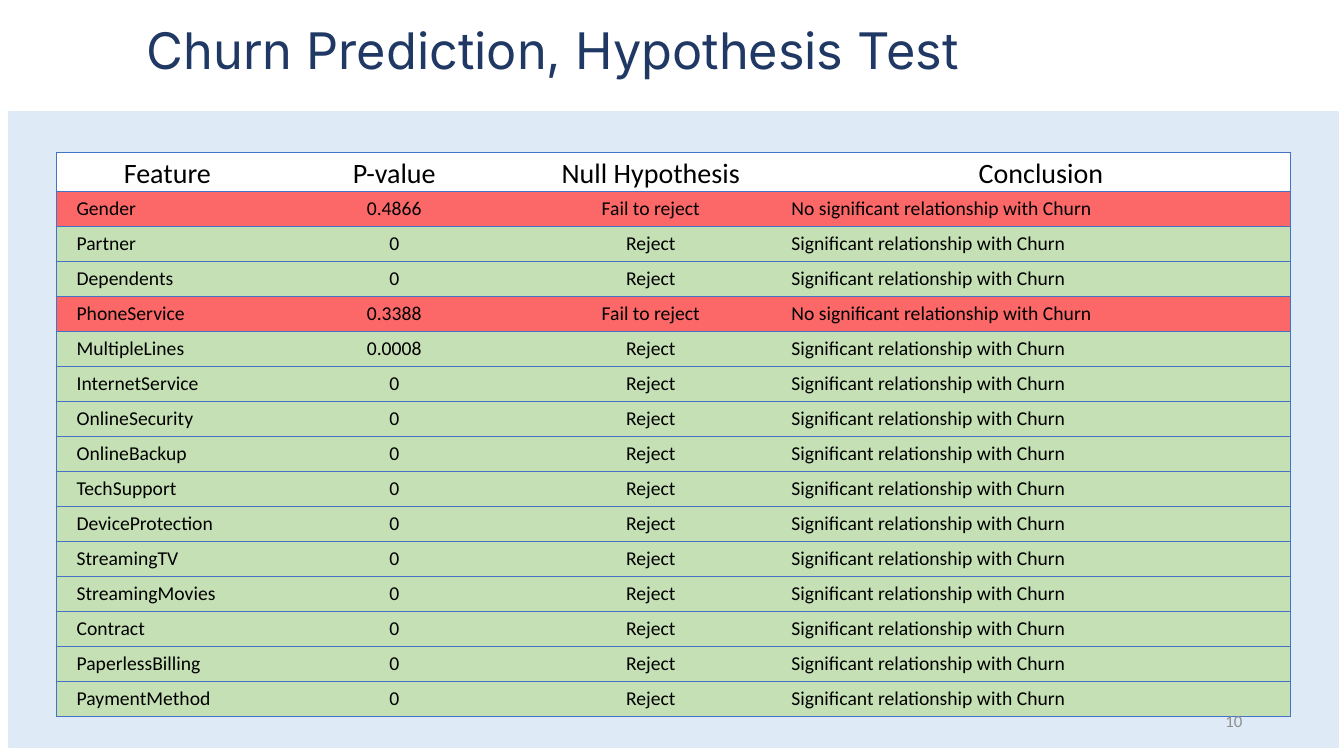
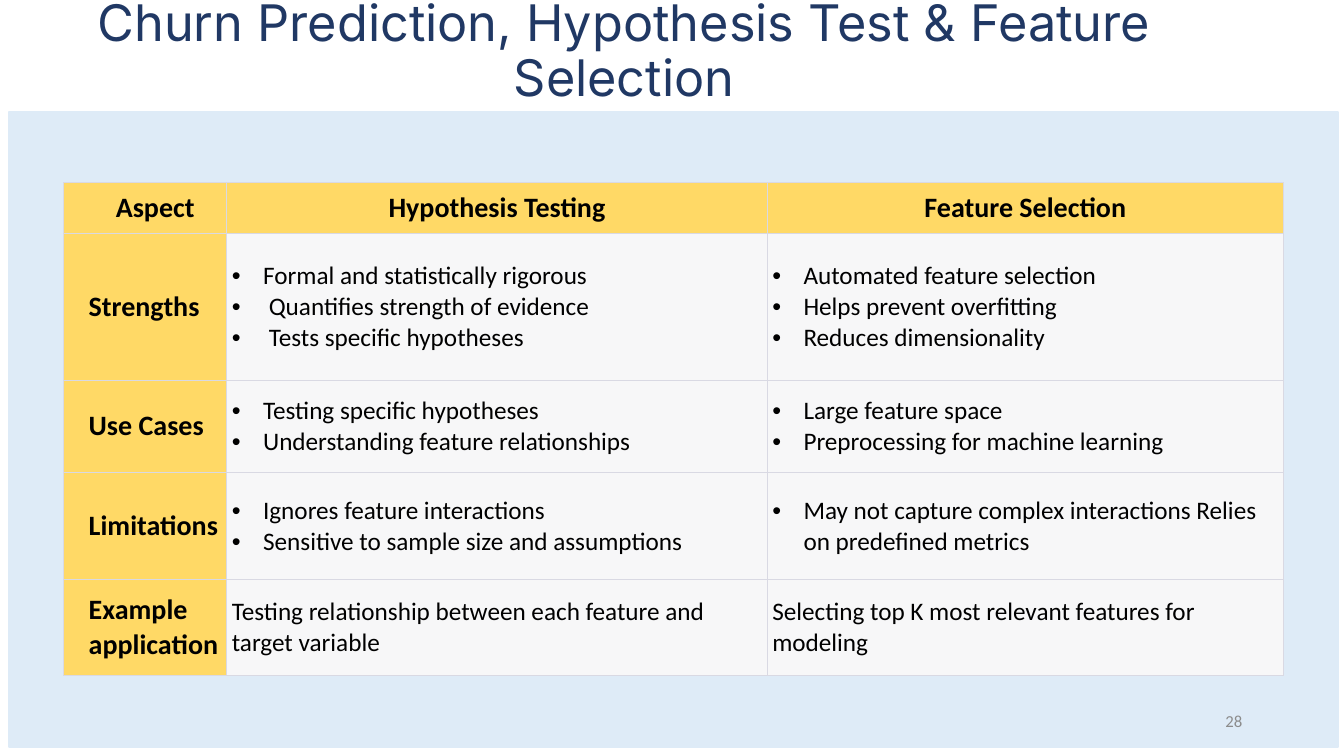
from lxml import etree
from pptx import Presentation
from pptx.dml.color import RGBColor
from pptx.enum.shapes import MSO_SHAPE
from pptx.enum.text import MSO_ANCHOR, PP_ALIGN
from pptx.oxml.ns import qn
from pptx.util import Inches, Pt

NAVY, BAND, BLACK, GREY = "203864", "DEEBF7", "000000", "8C8C8C"
BLUE, WHITE, RED, GREEN = "4472C4", "FFFFFF", "FC6868", "C5E0B4"
YELLOW, PALE, PALE_LINE = "FFD966", "F7F7F8", "D9D9E3"
TITLE_FONT, BODY_FONT = "Inter", "Calibri"
LEFT, CENTER, RIGHT = PP_ALIGN.LEFT, PP_ALIGN.CENTER, PP_ALIGN.RIGHT
LABEL_INDENT, BULLET_INDENT = 0.2, 0.31

TEST_HEADER = ["Feature", "P-value", "Null Hypothesis", "Conclusion"]
P_VALUES = {
    "Gender": 0.4866, "Partner": 0, "Dependents": 0, "PhoneService": 0.3388,
    "MultipleLines": 0.0008, "InternetService": 0, "OnlineSecurity": 0,
    "OnlineBackup": 0, "TechSupport": 0, "DeviceProtection": 0,
    "StreamingTV": 0, "StreamingMovies": 0, "Contract": 0,
    "PaperlessBilling": 0, "PaymentMethod": 0,
}
SIGNIFICANCE = 0.05

ASPECT_HEADER = ["Aspect", "Hypothesis Testing", "Feature Selection"]
# A list is a bulleted cell, a string a plain one.
ASPECTS = [
    ("Strengths",
     ["Formal and statistically rigorous", " Quantifies strength of evidence",
      " Tests specific hypotheses"],
     ["Automated feature selection", "Helps prevent overfitting",
      "Reduces dimensionality"]),
    ("Use Cases",
     ["Testing specific hypotheses", "Understanding feature relationships"],
     ["Large feature space", "Preprocessing for machine learning"]),
    ("Limitations",
     ["Ignores feature interactions",
      "Sensitive to sample size and assumptions"],
     ["May not capture complex interactions Relies on predefined metrics"]),
    ("Example application",
     "Testing relationship between each feature and target variable",
     "Selecting top K most relevant features for modeling"),
]


def rgb(color):
    return RGBColor.from_string(color)


def style(p, font, size, color, align=LEFT, bold=False):
    p.alignment = align
    for r in p.runs:
        r.font.name, r.font.size, r.font.bold = font, Pt(size), bold
        r.font.color.rgb = rgb(color)


def indent(p, left, bullet=False):
    pPr = p._p.get_or_add_pPr()
    pPr.set("marL", str(Inches(left)))
    pPr.set("indent", str(-Inches(left) if bullet else 0))
    if bullet:
        etree.SubElement(pPr, qn("a:buFont"), typeface="Arial")
        etree.SubElement(pPr, qn("a:buChar"), char="•")


def set_borders(cell, color, width, sides):
    """Draw the given sides (of L, R, T, B) and clear the others."""
    tcPr = cell._tc.get_or_add_tcPr()
    for side in "LRTB":
        ln = etree.SubElement(tcPr, qn(f"a:ln{side}"), w=str(Pt(width)))
        if side in sides:
            fill = etree.SubElement(ln, qn("a:solidFill"))
            etree.SubElement(fill, qn("a:srgbClr"), val=color)
        else:
            etree.SubElement(ln, qn("a:noFill"))


def fill_cell(cell, content, size, fill, align=LEFT, bold=False, left=0,
              margins=(0, 0), anchor=MSO_ANCHOR.MIDDLE):
    cell.margin_left = cell.margin_right = Inches(margins[0])
    cell.margin_top = cell.margin_bottom = Inches(margins[1])
    cell.vertical_anchor = anchor
    cell.fill.solid()
    cell.fill.fore_color.rgb = rgb(fill)
    bulleted = isinstance(content, list)
    tf = cell.text_frame
    tf.text = "\n".join(content) if bulleted else content
    for p in tf.paragraphs:
        if bulleted or left:
            indent(p, BULLET_INDENT if bulleted else left, bulleted)
        style(p, BODY_FONT, size, BLACK, align, bold)


def add_grid(slide, box, col_widths, row_heights):
    frame = slide.shapes.add_table(len(row_heights), len(col_widths),
                                   *map(Inches, box))
    table = frame.table
    table.first_row = table.horz_banding = False
    for col, width in zip(table.columns, col_widths):
        col.width = Inches(width)
    for row, height in zip(table.rows, row_heights):
        row.height = Inches(height)
    return table


def add_base_slide(prs, title, title_box, number):
    """Add a slide with its title, background band and page number."""
    slide = prs.slides.add_slide(prs.slide_layouts[5])
    sp = slide.shapes.title
    sp.left, sp.top, sp.width, sp.height = map(Inches, title_box)
    tf = sp.text_frame
    tf.text = title
    tf.word_wrap = True
    tf.vertical_anchor = MSO_ANCHOR.MIDDLE
    tf.margin_left = tf.margin_right = tf.margin_top = tf.margin_bottom = 0
    p = tf.paragraphs[0]
    p.line_spacing = 0.9
    style(p, TITLE_FONT, 36, NAVY, CENTER)

    band = slide.shapes.add_shape(
        MSO_SHAPE.RECTANGLE, *map(Inches, (0.09, 1.11, 13.18, 6.3)))
    band.shadow.inherit = False
    band.fill.solid()
    band.fill.fore_color.rgb = rgb(BAND)
    band.line.color.rgb = rgb(BAND)
    band.line.width = Pt(1)
    return slide


def add_page_number(slide, number):
    sp = slide.shapes.add_textbox(*map(Inches, (9.42, 6.95, 3, 0.4)))
    tf = sp.text_frame
    tf.word_wrap = True
    tf.vertical_anchor = MSO_ANCHOR.MIDDLE
    tf.text = str(number)
    style(tf.paragraphs[0], BODY_FONT, 12, GREY, RIGHT)


def add_test_table(slide, box):
    header_height = 0.39
    row_height = (box[3] - header_height) / len(P_VALUES)
    table = add_grid(slide, box, [2.2, 2.3, 2.79, 4.95],
                     [header_height] + [row_height] * len(P_VALUES))
    sides = ["LTB", "TB", "TB", "RTB"]
    aligns = [LEFT, CENTER, CENTER, LEFT]
    lefts = [LABEL_INDENT, 0, 0, 0]

    for c, text in enumerate(TEST_HEADER):
        cell = table.cell(0, c)
        set_borders(cell, BLUE, 1, sides[c])
        fill_cell(cell, text, 20, WHITE, CENTER, anchor=MSO_ANCHOR.BOTTOM)

    for r, (feature, p_value) in enumerate(P_VALUES.items(), 1):
        if p_value < SIGNIFICANCE:
            fill, verdict, finding = GREEN, "Reject", "Significant"
        else:
            fill, verdict, finding = RED, "Fail to reject", "No significant"
        row = [feature, str(p_value), verdict,
               f"{finding} relationship with Churn"]
        for c, text in enumerate(row):
            cell = table.cell(r, c)
            set_borders(cell, BLUE, 1, sides[c])
            fill_cell(cell, text, 14, fill, aligns[c], left=lefts[c])


def add_aspect_table(slide, box):
    table = add_grid(slide, box, [1.62, 5.36, 5.12],
                     [0.51, 1.45, 0.92, 1.06, 0.95])
    for r, row in enumerate([ASPECT_HEADER, *ASPECTS]):
        for c, content in enumerate(row):
            cell = table.cell(r, c)
            heading = r == 0 or c == 0
            set_borders(cell, PALE_LINE, 0.6, "LRTB")
            fill_cell(cell, content, 20 if heading else 18,
                      YELLOW if heading else PALE,
                      CENTER if r == 0 else LEFT, bold=heading,
                      left=LABEL_INDENT if c == 0 else 0,
                      margins=(0.05, 0.03))


def main():
    prs = Presentation()
    prs.slide_width, prs.slide_height = Inches(13.33), Inches(7.5)
    slides = [
        ("Churn Prediction, Hypothesis Test", (1.33, 0.1, 8.31, 0.85), 10,
         add_test_table, (0.56, 1.51, 12.24, 5.6)),
        ("Churn Prediction, Hypothesis Test & Feature Selection",
         (-0.03, 0.1, 12.44, 0.85), 28,
         add_aspect_table, (0.63, 1.81, 12.1, 4.9)),
    ]
    for title, title_box, number, add_content, box in slides:
        slide = add_base_slide(prs, title, title_box, number)
        add_content(slide, box)
        add_page_number(slide, number)
    prs.save("out.pptx")


if __name__ == "__main__":
    main()
